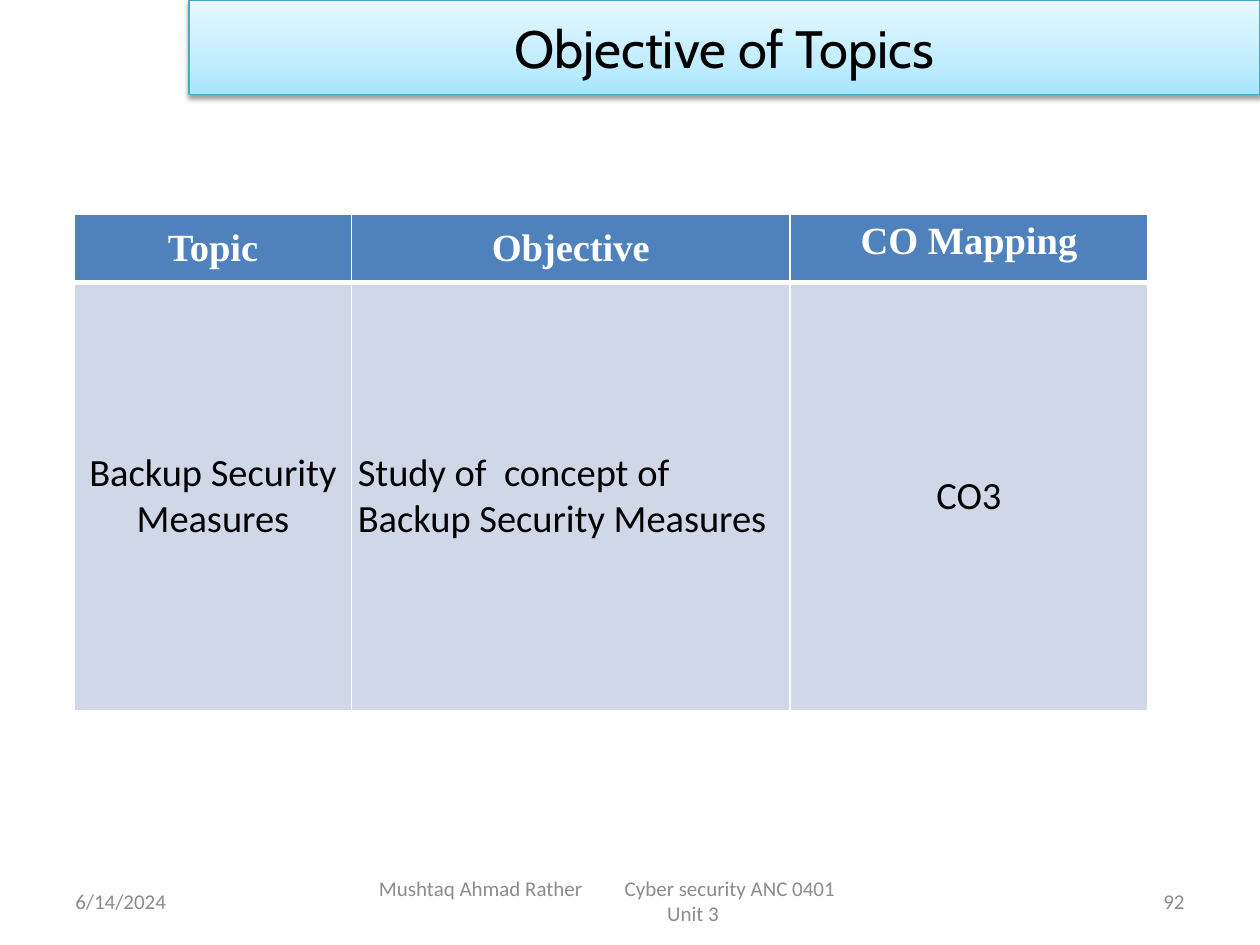
from copy import deepcopy
from dataclasses import dataclass

from pptx import Presentation
from pptx.dml.color import RGBColor as RGB
from pptx.enum.shapes import MSO_SHAPE as Shape
from pptx.enum.text import MSO_ANCHOR as Anchor, PP_ALIGN as Align
from pptx.oxml import parse_xml
from pptx.oxml.ns import nsdecls, qn
from pptx.util import Inches, Pt


@dataclass(frozen=True)
class Theme:
    title_font: str = "Cabin"
    head_font: str = "Times New Roman"
    body_font: str = "Calibri"
    title_size: int = 30
    table_size: int = 22
    footer_size: int = 12
    black: str = "000000"
    white: str = "FFFFFF"
    grey: str = "8C8C8C"
    head_fill: str = "4F81BD"
    body_fill: str = "D0D8E8"
    banner_line: str = "46AAC5"
    banner_stops: tuple = ((0, "A7E6FF"), (0.35, "C1EDFF"), (1, "E7F8FF"))


T = Theme()


def write(p, text, *, font=T.body_font, size=T.table_size, color=T.black,
          bold=False, align=Align.LEFT):
    p.alignment = align
    r = p.add_run()
    r.text = text
    r.font.name = font
    r.font.size = Pt(size)
    r.font.bold = bold
    r.font.color.rgb = RGB.from_string(color)


def add_banner(s, text):
    sp = s.shapes.add_shape(Shape.RECTANGLE, Inches(1.5), 0, Inches(8.5), Inches(0.75))
    sp.line.color.rgb = RGB.from_string(T.banner_line)
    sp.line.width = Pt(0.75)

    # Three-stop gradient, light at the top
    sp.fill.gradient()
    sp.fill.gradient_angle = 90
    stop_list = sp._element.spPr.find(".//" + qn("a:gsLst"))
    stop_list.append(deepcopy(stop_list[0]))
    for stop, (position, color) in zip(sp.fill.gradient_stops, T.banner_stops):
        stop.position = position
        stop.color.rgb = RGB.from_string(color)

    # Soft shadow below
    sp.shadow.inherit = False
    sp._element.spPr.find(qn("a:effectLst")).append(parse_xml(
        f'<a:outerShdw {nsdecls("a")} blurRad="{Pt(3.1)}" dist="{Pt(1.6)}" '
        f'dir="5400000" rotWithShape="0"><a:srgbClr val="{T.black}">'
        f'<a:alpha val="38000"/></a:srgbClr></a:outerShdw>'))

    tf = sp.text_frame
    tf.vertical_anchor = Anchor.MIDDLE
    write(tf.paragraphs[0], text, font=T.title_font, size=T.title_size, align=Align.CENTER)


def add_footer(s, left, width, lines, tabs=()):
    """Add a footer box; lines holds (text, alignment) pairs."""
    box = s.shapes.add_textbox(Inches(left), Inches(6.95), Inches(width), Inches(0.4))
    tf = box.text_frame
    tf.word_wrap = True
    tf.vertical_anchor = Anchor.MIDDLE
    for i, (text, align) in enumerate(lines):
        p = tf.add_paragraph() if i else tf.paragraphs[0]
        if "\t" in text:
            stops = "".join(f'<a:tab pos="{Inches(x)}" algn="l"/>' for x in tabs)
            p._p.get_or_add_pPr().append(
                parse_xml(f'<a:tabLst {nsdecls("a")}>{stops}</a:tabLst>'))
        write(p, text, size=T.footer_size, color=T.grey, align=align)


def set_borders(cell, bottom):
    tc_pr = cell._tc.get_or_add_tcPr()
    widths = {"lnL": 1, "lnR": 1, "lnT": 1, "lnB": bottom}
    for i, (side, width) in enumerate(widths.items()):
        tc_pr.insert(i, parse_xml(
            f'<a:{side} {nsdecls("a")} w="{Pt(width)}"><a:solidFill>'
            f'<a:srgbClr val="{T.white}"/></a:solidFill></a:{side}>'))


def fill_cell(cell, text, *, fill, bottom, anchor=Anchor.MIDDLE, left=None, **style):
    """Format one cell; left sets its left inset and removes the other insets."""
    cell.fill.solid()
    cell.fill.fore_color.rgb = RGB.from_string(fill)
    cell.vertical_anchor = anchor
    if left is not None:
        cell.margin_left = Inches(left)
        cell.margin_top = cell.margin_right = cell.margin_bottom = 0
    set_borders(cell, bottom)
    write(cell.text_frame.paragraphs[0], text, **style)


def add_objectives(s):
    widths, heights = (2.2, 3.48, 2.84), (0.54, 3.4)
    table = s.shapes.add_table(len(heights), len(widths), Inches(0.59), Inches(1.7),
                               Inches(sum(widths)), Inches(sum(heights))).table
    table.first_row = table.horz_banding = False
    for column, width in zip(table.columns, widths):
        column.width = Inches(width)
    for row, height in zip(table.rows, heights):
        row.height = Inches(height)

    # Header row
    head = dict(fill=T.head_fill, bottom=3, font=T.head_font, color=T.white,
                bold=True, align=Align.CENTER)
    fill_cell(table.cell(0, 0), "Topic", left=0, **head)
    fill_cell(table.cell(0, 1), "Objective", left=0, **head)
    fill_cell(table.cell(0, 2), "CO Mapping", anchor=Anchor.TOP, **head)

    # Topic row
    body = dict(fill=T.body_fill, bottom=1)
    fill_cell(table.cell(1, 0), "Backup Security Measures", left=0,
              align=Align.CENTER, **body)
    fill_cell(table.cell(1, 1), "Study of  concept of Backup Security Measures",
              left=0.05, **body)
    fill_cell(table.cell(1, 2), "CO3", align=Align.CENTER, **body)


def main():
    prs = Presentation()
    prs.slide_width, prs.slide_height = Inches(10), Inches(7.5)
    s = prs.slides.add_slide(prs.slide_layouts[6])

    add_banner(s, "Objective of Topics")
    add_objectives(s)

    # Footer: date, course, slide number
    add_footer(s, 0.5, 2.33, [("6/14/2024", Align.LEFT)])
    add_footer(s, 2.75, 5.5,
               [("\tMushtaq Ahmad Rather\tCyber security ANC 0401", Align.LEFT),
                ("Unit 3", Align.CENTER)], tabs=(0.16, 2.11))
    add_footer(s, 7.17, 2.33, [("92", Align.RIGHT)])

    prs.save("out.pptx")


if __name__ == "__main__":
    main()
